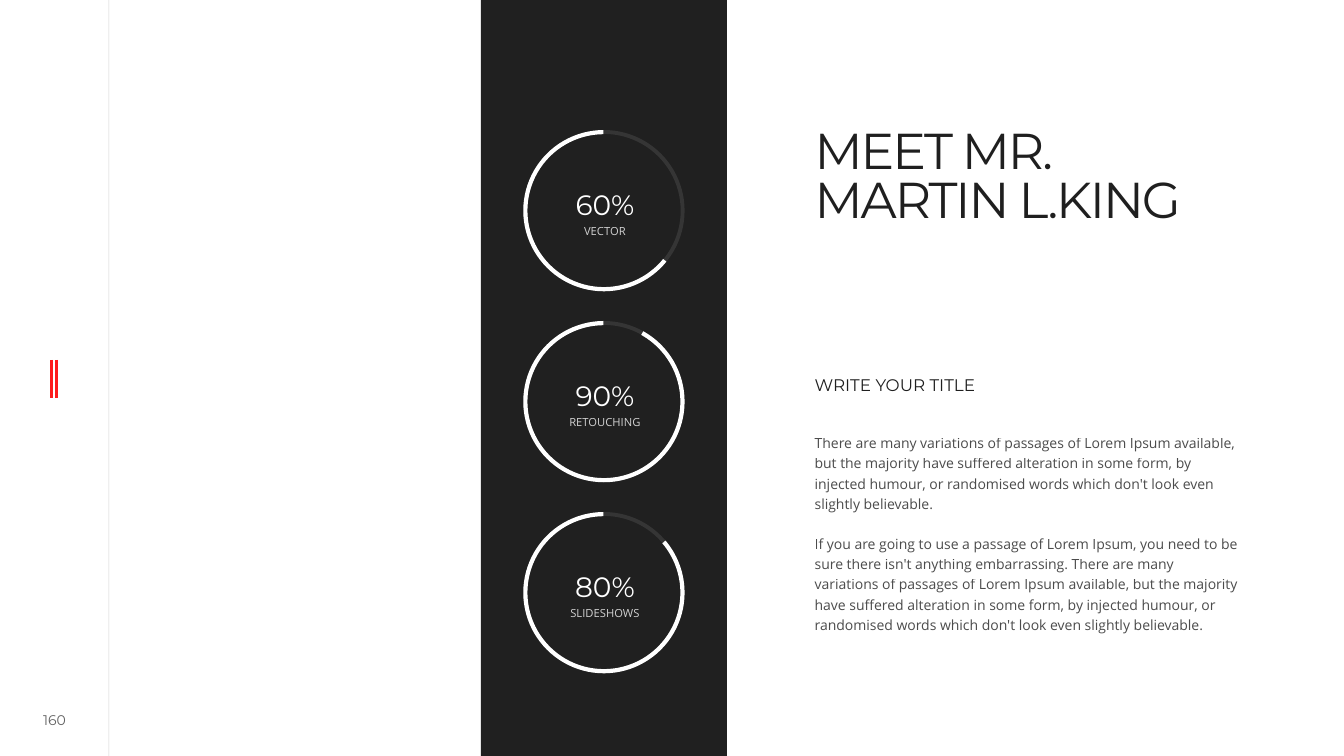
from copy import deepcopy

from pptx import Presentation
from pptx.dml.color import RGBColor
from pptx.enum.shapes import MSO_CONNECTOR as Connector, MSO_SHAPE as Shape
from pptx.enum.text import MSO_ANCHOR as Anchor, MSO_AUTO_SIZE as AutoSize, PP_ALIGN as Align
from pptx.oxml.ns import qn
from pptx.oxml.xmlchemy import OxmlElement
from pptx.util import Inches, Pt

DARK, WHITE, RED = "1F1F1F", "FFFFFF", "FE1C1D"
PANEL, TRACK = "202020", "353535"
HEADING_FONT, BODY_FONT = "Montserrat", "Open Sans"

# Ring measures: size, distance between rings, angle where every arc ends
RING_LEFT, RING_TOP, RING_SIZE, RING_STEP = 5.19, 1.29, 1.6, 1.895
ARC_END = 269.69
SKILLS = [("60%", "VECTOR", 39.23), ("90%", "RETOUCHING", 299.23), ("80%", "SLIDESHOWS", 319.8)]

BODY = [
    "There are many variations of passages of Lorem Ipsum available, but the majority have "
    "suffered alteration in some form, by injected humour, or randomised words which don't "
    "look even slightly believable.",
    "If you are going to use a passage of Lorem Ipsum, you need to be sure there isn't anything "
    "embarrassing. There are many variations of passages of Lorem Ipsum available, but the "
    "majority have suffered alteration in some form, by injected humour, or randomised words "
    "which don't look even slightly believable.",
]


def apply(target, values):
    for name, value in values.items():
        setattr(target, name, value)


def paint(fill, color, element, opacity=100):
    fill.solid()
    fill.fore_color.rgb = RGBColor.from_string(color)
    if opacity < 100:
        for node in element.iter(qn("a:srgbClr")):
            alpha = OxmlElement("a:alpha")
            alpha.set("val", str(opacity * 1000))
            node.append(alpha)


def place(box, left, top, width, height):
    apply(box, {"left": Inches(left), "top": Inches(top),
                "width": Inches(width), "height": Inches(height)})


def write(box, texts, size, font=HEADING_FONT, color=DARK, opacity=100, spacing=1.0,
          align=Align.LEFT, anchor=Anchor.TOP, inset=(0.05, 0.05), gap=0, grow=True):
    """Fill a box with one paragraph per text, all in one format."""
    frame = box.text_frame
    apply(frame, {"word_wrap": True, "vertical_anchor": anchor,
                  "auto_size": AutoSize.SHAPE_TO_FIT_TEXT if grow else AutoSize.NONE,
                  "margin_left": 0, "margin_right": 0,
                  "margin_top": Inches(inset[0]), "margin_bottom": Inches(inset[1])})
    for index, text in enumerate(texts):
        para = frame.add_paragraph() if index else frame.paragraphs[0]
        para.text = text
        apply(para, {"alignment": align, "line_spacing": spacing,
                     "space_before": Pt(gap if index else 0), "space_after": Pt(0)})
        for span in para.runs:
            apply(span.font, {"name": font, "size": Pt(size)})
            paint(span.font.fill, color, span._r, opacity)


def add_text(shapes, at, text, size, **style):
    box = shapes.add_textbox(*map(Inches, at))
    write(box, [text], size, **style)


def add_block(shapes, kind, at, color, adjustments=()):
    block = shapes.add_shape(kind, *map(Inches, at))
    block.shadow.inherit = False
    block.line.fill.background()
    paint(block.fill, color, block._element)
    for index, value in enumerate(adjustments):
        block.adjustments[index] = value


def add_rule(shapes, x, top, bottom, color, width, opacity=100):
    rule = shapes.add_connector(Connector.STRAIGHT, Inches(x), Inches(top), Inches(x), Inches(bottom))
    rule.line.width = Pt(width)
    paint(rule.line.fill, color, rule._element, opacity)
    rule._element.spPr.append(OxmlElement("a:effectLst"))


def add_ring(page, top, percent, skill, start):
    shapes = page.shapes.add_group_shape().shapes
    at = (RING_LEFT, top, RING_SIZE, RING_SIZE)
    add_block(shapes, Shape.DONUT, at, TRACK, [0.024])
    # Angles are stored in 60000ths of a degree, adjustments in 100000ths
    add_block(shapes, Shape.BLOCK_ARC, at, WHITE, [start * 0.6, ARC_END * 0.6, 0.026])
    add_text(shapes, (5.44, top + 0.61, 1.12, 0.36), percent, 20,
             color=WHITE, spacing=0.7, align=Align.CENTER)
    add_text(shapes, (5.44, top + 0.86, 1.12, 0.25), skill, 8, font=BODY_FONT,
             color=WHITE, opacity=80, spacing=1.2, align=Align.CENTER)


def fill_title(title):
    place(title, 8.08, 1.09, 4.62, 1.77)
    write(title, ["MEET MR.\vMARTIN L.KING"], 36, spacing=0.8, inset=(0.21, 0), grow=False)
    para = title.text_frame.paragraphs[0]
    for span in para.runs:
        span.font._element.set("spc", "-150")
    # The line break takes the format of the text
    for line_break in para._p.iter(qn("a:br")):
        line_break.insert(0, deepcopy(para.runs[0].font._element))


def fill_body(body):
    place(body, 8.08, 4.23, 4.21, 2.32)
    write(body, BODY, 10, font=BODY_FONT, opacity=80, spacing=1.2, gap=14.4)
    for para in body.text_frame.paragraphs:
        properties = para._p.get_or_add_pPr()
        properties.set("marL", "0")
        properties.set("indent", "0")
        properties.append(OxmlElement("a:buNone"))


def main():
    deck = Presentation()
    apply(deck, {"slide_width": Inches(13.33), "slide_height": Inches(7.5)})
    page = deck.slides.add_slide(deck.slide_layouts[1])
    shapes = page.shapes

    # Left margin and dark panel
    add_rule(shapes, 1.08, 0, 7.5, DARK, 0.5, opacity=20)
    for x in (0.51, 0.56):
        add_rule(shapes, x, 3.57, 3.95, RED, 2)
    add_block(shapes, Shape.RECTANGLE, (4.77, 0, 2.44, 7.5), PANEL)
    add_text(shapes, (0.26, 7.02, 0.56, 0.25), "160", 10, opacity=70, align=Align.CENTER,
             anchor=Anchor.MIDDLE, inset=(0, 0), grow=False)

    # Skill rings
    for index, skill in enumerate(SKILLS):
        add_ring(page, RING_TOP + index * RING_STEP, *skill)

    # Title and text
    fill_title(shapes.title)
    add_text(shapes, (8.08, 3.72, 4.22, 0.24), "WRITE YOUR TITLE", 12, spacing=0.7)
    fill_body(page.placeholders[1])

    deck.save("out.pptx")


if __name__ == "__main__":
    main()
